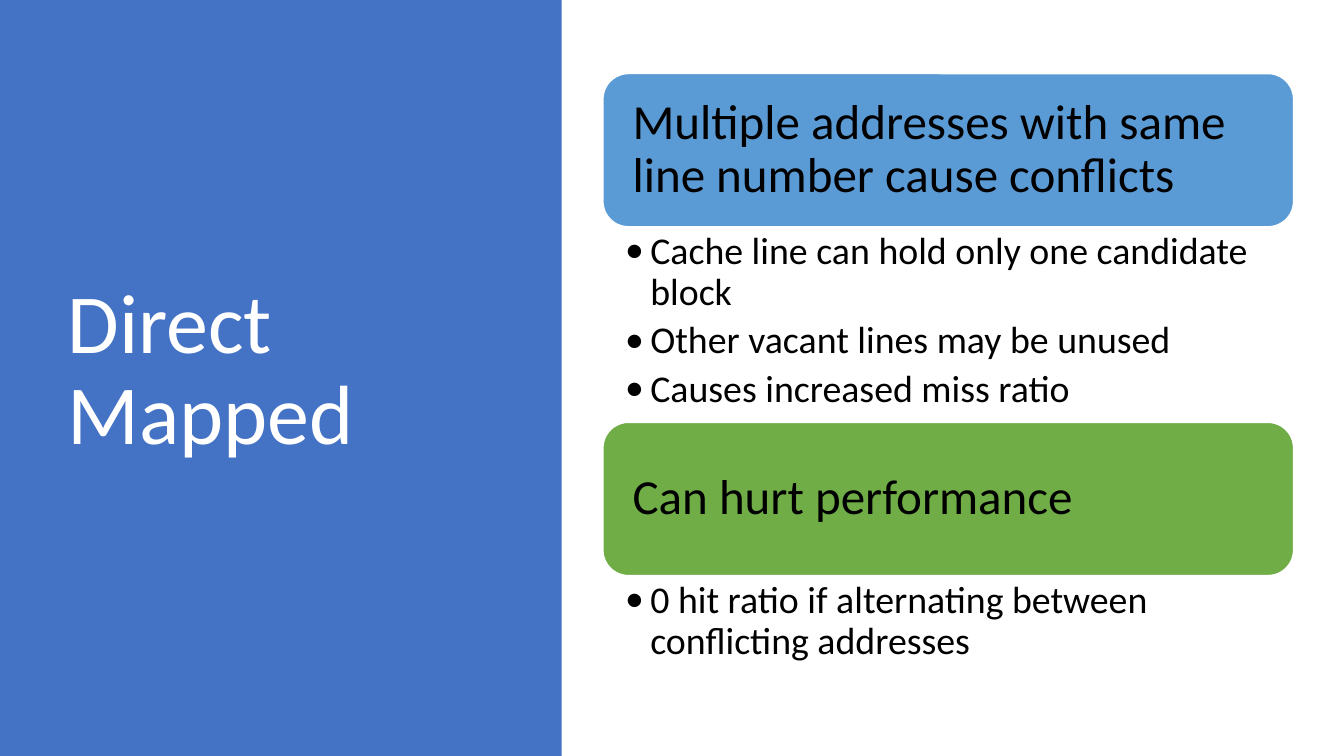
from lxml.etree import SubElement
from pptx import Presentation
from pptx.dml.color import RGBColor
from pptx.enum.shapes import MSO_SHAPE
from pptx.enum.text import MSO_ANCHOR, MSO_AUTO_SIZE, PP_ALIGN
from pptx.oxml.ns import qn
from pptx.util import Inches, Pt

WHITE = RGBColor(0xFF, 0xFF, 0xFF)
BLACK = RGBColor(0x00, 0x00, 0x00)
PANEL_BLUE = RGBColor(0x44, 0x72, 0xC4)
LIGHT_BLUE = RGBColor(0x5B, 0x9B, 0xD5)
GREEN = RGBColor(0x70, 0xAD, 0x47)

WIDTH, HEIGHT = Inches(13.33), Inches(7.5)
PANEL_WIDTH = Inches(5.57)
TOPIC_LEFT, TOPIC_TOP, TOPIC_WIDTH = Inches(5.98), Inches(0.73), Inches(6.85)
HEADING_HEIGHT = Inches(1.52)

# heading, colour, height of the list, points
TOPICS = [
    ("Multiple addresses with same line number cause conflicts", LIGHT_BLUE,
     Inches(1.94),
     ["Cache line can hold only one candidate block",
      "Other vacant lines may be unused",
      "Causes increased miss ratio"]),
    ("Can hurt performance", GREEN, Inches(0.93),
     ["0 hit ratio if alternating between conflicting addresses"]),
]


def place(shape, left, top, width, height):
    shape.left, shape.top, shape.width, shape.height = left, top, width, height


def set_frame(frame, anchor, left, top, right, bottom):
    frame.word_wrap = True
    frame.auto_size = MSO_AUTO_SIZE.NONE
    frame.vertical_anchor = anchor
    frame.margin_left, frame.margin_top = Inches(left), Inches(top)
    frame.margin_right, frame.margin_bottom = Inches(right), Inches(bottom)


def style_paragraph(para, size, color, after=0):
    para.alignment = PP_ALIGN.LEFT
    para.line_spacing = 0.9
    para.space_before = Pt(0)
    para.space_after = Pt(after)
    para.font.name = "Calibri"
    para.font.size = Pt(size)
    para.font.color.rgb = color


def add_bullet(para):
    properties = para._p.get_or_add_pPr()
    properties.set("marL", str(Inches(0.25)))
    properties.set("indent", str(-Inches(0.25)))
    SubElement(properties, qn("a:buFont")).set("typeface", "Calibri")
    SubElement(properties, qn("a:buChar")).set("char", "•")


def add_title_panel(page, left, top, width, height):
    panel = page.shapes.add_shape(MSO_SHAPE.RECTANGLE, left, top, width, height)
    panel.shadow.inherit = False
    panel.fill.solid()
    panel.fill.fore_color.rgb = PANEL_BLUE
    panel.line.fill.background()
    page.shapes._spTree.insert(2, panel._element)  # behind the title

    title = page.shapes.title
    place(title, left + Inches(0.57), top + Inches(0.68), Inches(4.16), Inches(6.02))
    title.text_frame.text = "Direct Mapped"
    set_frame(title.text_frame, MSO_ANCHOR.MIDDLE, 0.1, 0.05, 0.1, 0.05)
    style_paragraph(title.text_frame.paragraphs[0], 60, WHITE)


def add_heading(page, text, color, left, top, width, height):
    box = page.shapes.add_shape(MSO_SHAPE.ROUNDED_RECTANGLE, left, top, width, height)
    box.shadow.inherit = False
    box.fill.solid()
    box.fill.fore_color.rgb = color
    box.line.color.rgb = WHITE
    box.line.width = Pt(1)
    box.text_frame.text = text
    set_frame(box.text_frame, MSO_ANCHOR.MIDDLE, 0.22, 0.22, 0.22, 0.22)
    style_paragraph(box.text_frame.paragraphs[0], 35, BLACK)


def fill_list(body, points, left, top, width, height):
    place(body, left, top, width, height)
    frame = body.text_frame
    frame.text = "\n".join(points)
    set_frame(frame, MSO_ANCHOR.TOP, 0.22, 0.05, 0.27, 0.05)
    for para in frame.paragraphs:
        para.level = 1
        add_bullet(para)
        style_paragraph(para, 27, BLACK, after=5.4)


def add_topics(page, left, top, width):
    """Stack each heading and its list downwards from the given corner."""
    bodies = list(page.placeholders)[1:]
    for body, (heading, color, list_height, points) in zip(bodies, TOPICS):
        add_heading(page, heading, color, left, top, width, HEADING_HEIGHT)
        top += HEADING_HEIGHT
        fill_list(body, points, left, top, width, list_height)
        top += list_height


def main():
    deck = Presentation()
    deck.slide_width, deck.slide_height = WIDTH, HEIGHT
    two_content = deck.slide_layouts.get_by_name("Two Content")
    page = deck.slides.add_slide(two_content)
    add_title_panel(page, 0, 0, PANEL_WIDTH, HEIGHT)
    add_topics(page, TOPIC_LEFT, TOPIC_TOP, TOPIC_WIDTH)
    deck.save("out.pptx")


if __name__ == "__main__":
    main()
